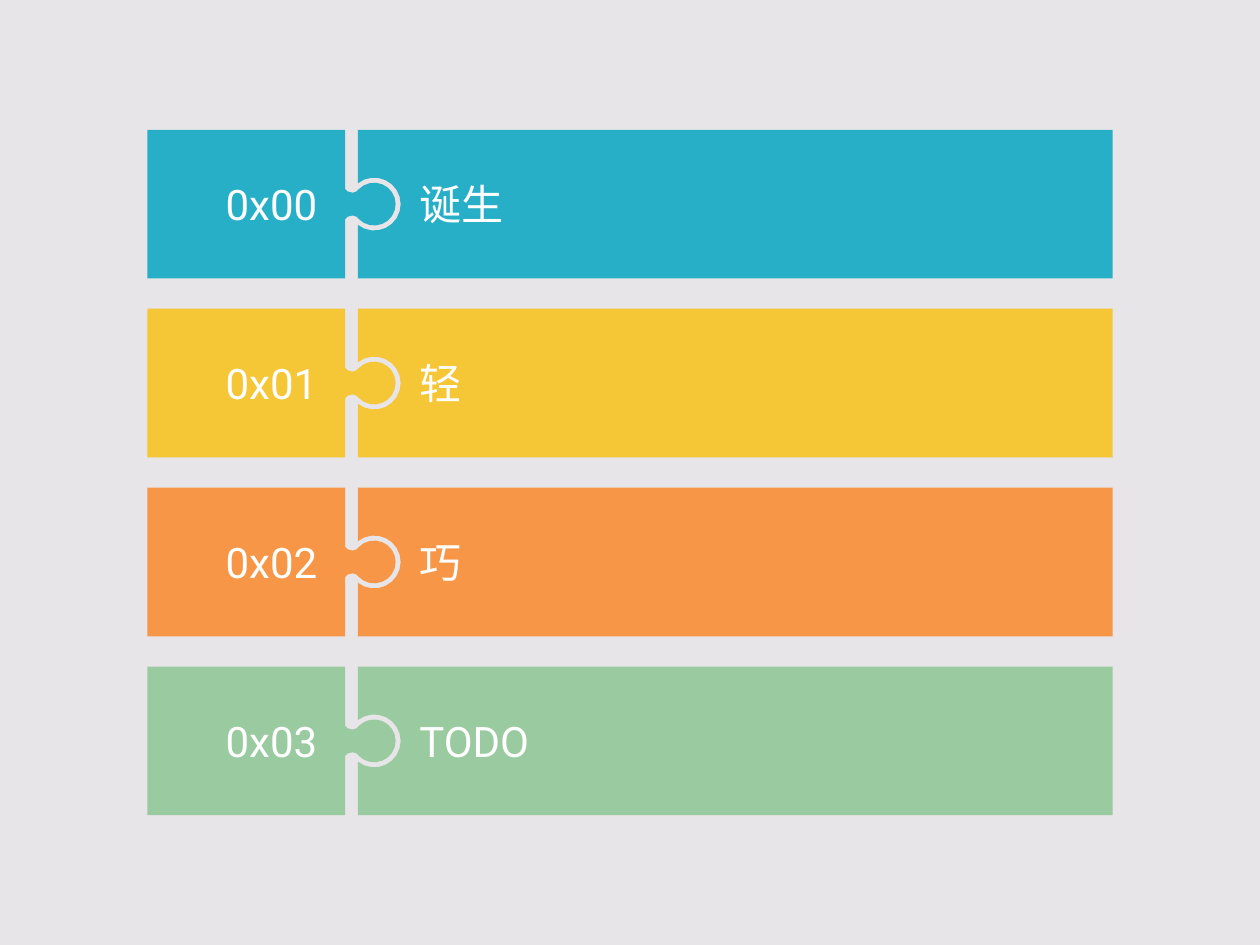
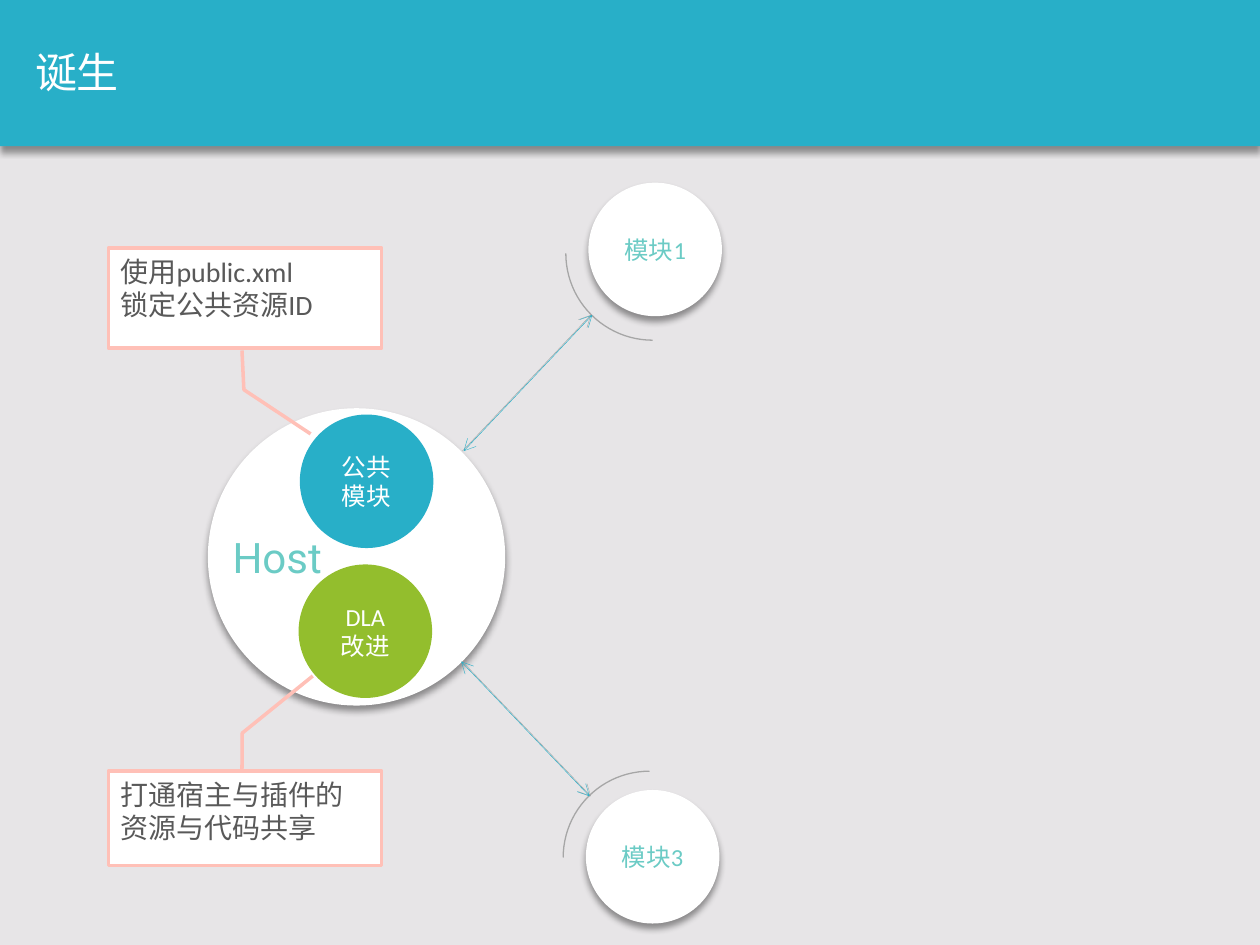
from math import cos, radians, sin

from lxml.etree import SubElement
from pptx import Presentation
from pptx.dml.color import RGBColor
from pptx.enum.shapes import MSO_CONNECTOR, MSO_SHAPE
from pptx.enum.text import MSO_ANCHOR, PP_ALIGN
from pptx.oxml.ns import qn
from pptx.util import Inches, Pt

COLORS = {
    "background": "E7E5E7", "white": "FFFFFF", "blue": "28AFC8",
    "yellow": "F5C636", "orange": "F79646", "sage": "9ACA9F",
    "green": "93BE2D", "teal": "6BCBC5", "gray": "A6A6A6",
    "pink": "FFC0B7", "text": "595959",
}
COLORS = {name: RGBColor.from_string(value) for name, value in COLORS.items()}


def paint(shape, fill=None, line=None, width=0.75, shadow=False):
    """Set fill and outline, and the soft drop shadow if asked for."""
    if fill:
        shape.fill.solid()
        shape.fill.fore_color.rgb = COLORS[fill]
    else:
        shape.fill.background()
    if line:
        shape.line.color.rgb = COLORS[line]
        shape.line.width = Pt(width)
    else:
        shape.line.fill.background()
    shape.shadow.inherit = False
    if shadow:
        effects = shape.element.spPr.find(qn("a:effectLst"))
        outer = SubElement(effects, qn("a:outerShdw"), blurRad=str(Pt(4)), dist=str(Pt(3)),
                           dir="5400000", algn="t", rotWithShape="0")
        black = SubElement(outer, qn("a:srgbClr"), val="000000")
        SubElement(black, qn("a:alpha"), val="40000")


def write(shape, lines, size=24, font="Roboto", color="white",
          align=PP_ALIGN.LEFT, anchor=MSO_ANCHOR.MIDDLE):
    frame = shape.text_frame
    frame.word_wrap = True
    frame.vertical_anchor = anchor
    frame.text = "\n".join(lines)
    for para in frame.paragraphs:
        para.alignment = align
        para.font.size = Pt(size)
        para.font.name = font
        para.font.color.rgb = COLORS[color]


deck = Presentation()
deck.slide_width, deck.slide_height = Inches(10), Inches(7.5)
agenda, birth = [deck.slides.add_slide(deck.slide_layouts[6]) for _ in range(2)]
for page in (agenda, birth):
    page.background.fill.solid()
    page.background.fill.fore_color.rgb = COLORS["background"]

# Slide 1: rows of two jigsaw pieces, outlined relative to the top of the row
ROW_TOP, ROW_HEIGHT, ROW_PITCH = 1.03, 1.18, 1.42
KNOB_X, KNOB_Y = 2.97, ROW_HEIGHT / 2
knob, socket = [
    [(KNOB_X + radius * cos(radians(angle)), KNOB_Y + radius * sin(radians(angle)))
     for angle in range(-limit, limit + 1, limit // 8)]
    for radius, limit in ((0.17, 136), (0.21, 128))
]
neck = [(2.74, 0.47), (2.76, 0.49), (2.8, 0.5), (2.83, 0.49)]
lower_neck = [(x, ROW_HEIGHT - y) for x, y in reversed(neck)]
number_piece = [(1.17, 0), (2.74, 0), *neck, *knob, *lower_neck,
                (2.74, ROW_HEIGHT), (1.17, ROW_HEIGHT)]
topic_piece = [(2.84, 0), (8.83, 0), (8.83, ROW_HEIGHT), (2.84, ROW_HEIGHT),
               *reversed(socket)]

topics = [("诞生", "blue"), ("轻", "yellow"), ("巧", "orange"), ("TODO", "sage")]
for index, (topic, color) in enumerate(topics):
    top = ROW_TOP + index * ROW_PITCH
    row = agenda.shapes.add_group_shape()
    pieces = []
    for outline in (number_piece, topic_piece):
        points = [(Inches(x), Inches(top + y)) for x, y in outline]
        builder = row.shapes.build_freeform(*points[0])
        builder.add_line_segments(points[1:], close=True)
        piece = builder.convert_to_shape()
        paint(piece, color)
        pieces.append(piece)
    write(pieces[0], [f"0x{index:02}"], align=PP_ALIGN.CENTER)
    box = row.shapes.add_textbox(Inches(3.23), Inches(top), Inches(5.6), Inches(ROW_HEIGHT))
    write(box, [topic])

# Slide 2: title band, then the host and its modules
shapes = birth.shapes
band = shapes.add_shape(MSO_SHAPE.RECTANGLE, 0, 0, deck.slide_width, Inches(1.16))
paint(band, "blue", shadow=True)
title = shapes.add_textbox(Inches(0.18), Inches(-0.02), Inches(5.6), Inches(1.18))
write(title, ["诞生"])

circles = [
    (4.67, 1.45, 1.06, "white", ["模块1"], "teal"),
    (4.65, 6.27, 1.06, "white", ["模块3"], "teal"),
    (1.65, 3.24, 2.36, "white", [], None),
    (2.38, 3.29, 1.06, "blue", ["公共", "模块"], "white"),
    (2.37, 4.48, 1.06, "green", ["DLA", "改进"], "white"),
]
for left, top, size, fill, lines, color in circles:
    circle = shapes.add_shape(MSO_SHAPE.OVAL, Inches(left), Inches(top),
                              Inches(size), Inches(size))
    paint(circle, fill, shadow=fill == "white")
    if lines:
        circle.text_frame.margin_left = circle.text_frame.margin_right = 0
        write(circle, lines, 14, "Calibri", color, PP_ALIGN.CENTER)

for left, top, size, rotation in ((4.49, 1.32, 1.38, 180), (4.47, 6.12, 1.37, 270)):
    arc = shapes.add_shape(MSO_SHAPE.ARC, Inches(left), Inches(top),
                           Inches(size), Inches(size))
    arc.rotation = rotation
    paint(arc, line="gray")

arrows = [
    (3.67, 3.58, 4.69, 2.5, "gray", ["tailEnd"]),
    (3.67, 5.25, 4.69, 6.32, "gray", ["tailEnd"]),
    (3.68, 3.58, 4.7, 2.5, "blue", ["headEnd", "tailEnd"]),
    (3.66, 5.25, 4.68, 6.32, "blue", ["headEnd", "tailEnd"]),
]
for *ends, color, tips in arrows:
    arrow = shapes.add_connector(MSO_CONNECTOR.STRAIGHT, *map(Inches, ends))
    arrow.line.color.rgb = COLORS[color]
    arrow.line.width = Pt(0.25)
    properties = arrow.element.spPr
    for tip in tips:
        SubElement(properties.find(qn("a:ln")), qn(f"a:{tip}"), type="arrow")
    SubElement(properties, qn("a:effectLst"))

host = shapes.add_textbox(Inches(1.66), Inches(4.13), Inches(1.08), Inches(0.58))
write(host, ["Host"], color="teal", align=PP_ALIGN.CENTER)

callouts = [
    (1.97, 0.79, (1.027, 0.489, 1.421, 0.496, 1.865, 0.74),
     ["使用public.xml", "锁定公共资源ID"]),
    (6.12, 0.75, (-0.017, 0.489, -0.403, 0.49, -1.007, 0.748),
     ["打通宿主与插件的资源与代码共享"]),
]
for top, height, pointer, lines in callouts:
    callout = shapes.add_shape(MSO_SHAPE.LINE_CALLOUT_2, Inches(0.86), Inches(top),
                               Inches(2.17), Inches(height))
    for index, value in enumerate(pointer):
        callout.adjustments[index] = value
    paint(callout, "white", "pink", 2)
    write(callout, lines, 16, "Calibri", "text", anchor=MSO_ANCHOR.TOP)

deck.save("out.pptx")
